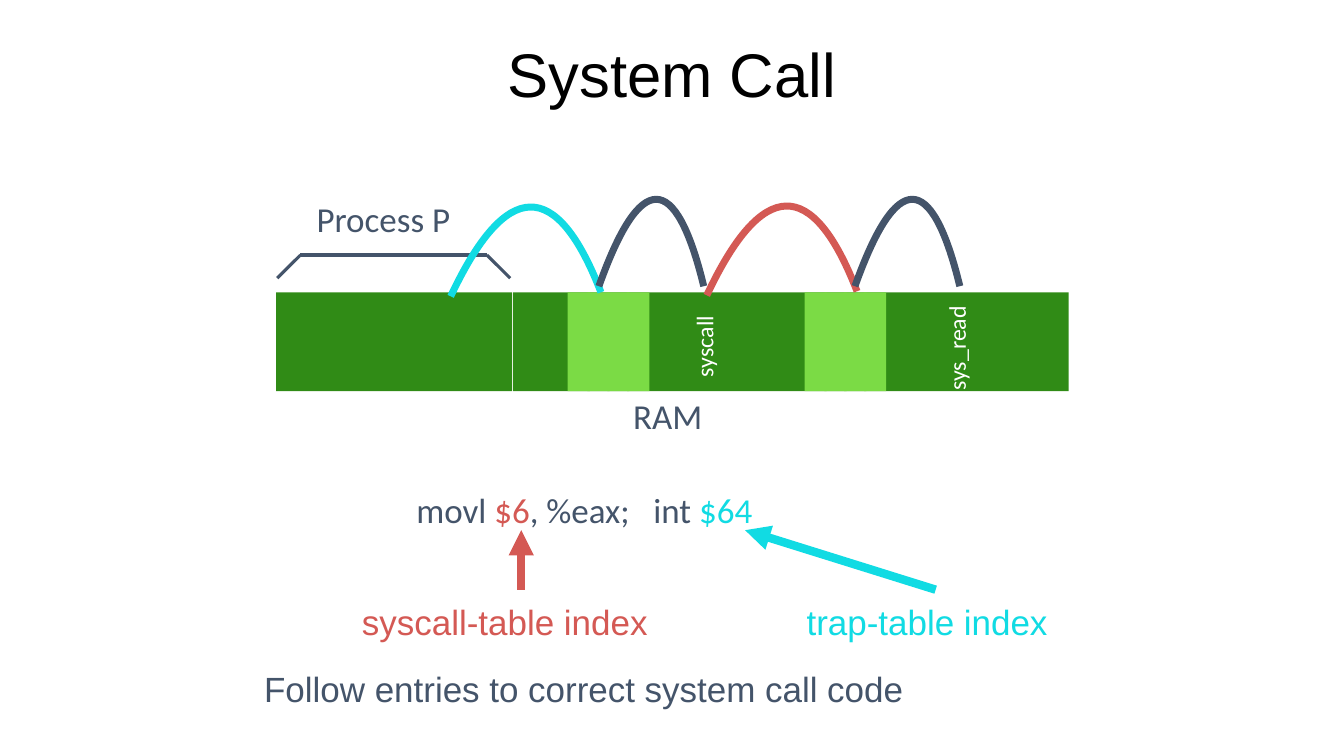
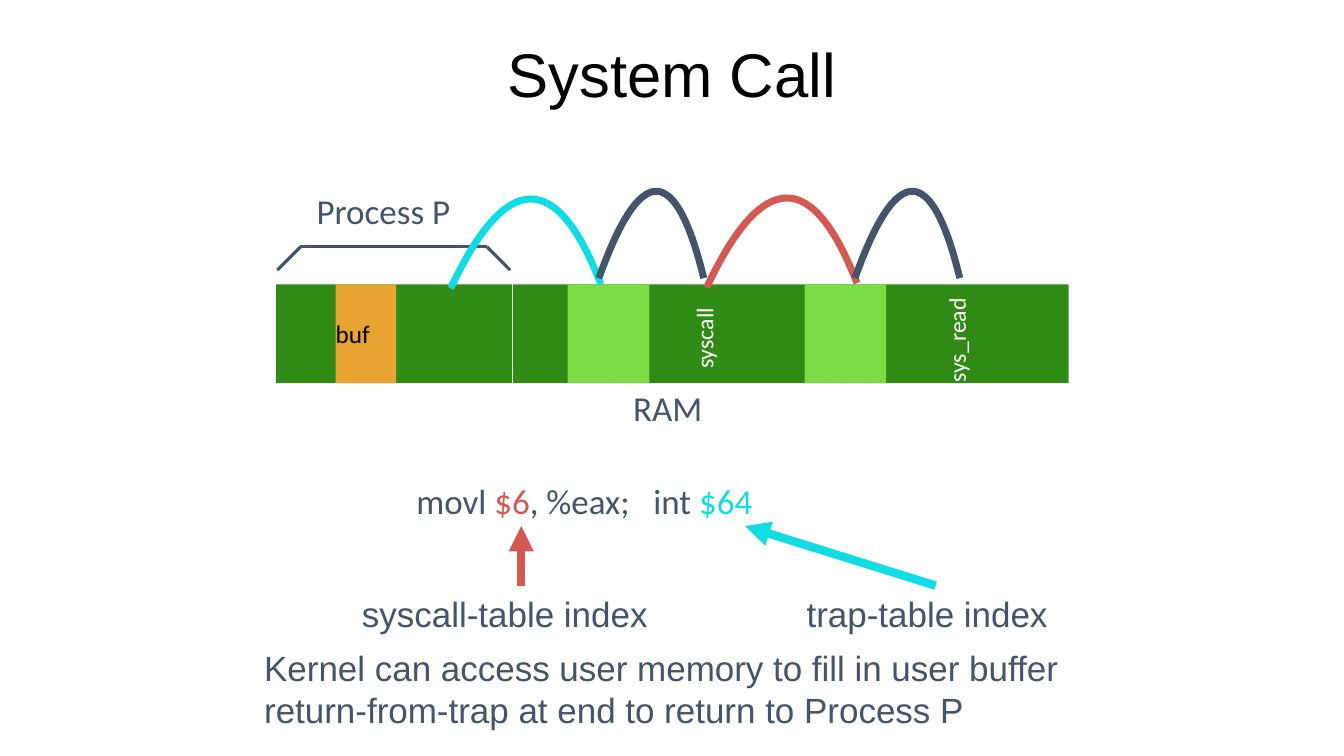
from lxml.etree import SubElement
from pptx import Presentation
from pptx.dml.color import RGBColor
from pptx.enum.shapes import MSO_CONNECTOR as CONNECTOR, MSO_SHAPE as SHAPE
from pptx.enum.text import MSO_ANCHOR as ANCHOR, PP_ALIGN as ALIGN
from pptx.oxml.ns import qn
from pptx.util import Inches, Pt

COLORS = {
    "slate": "44546A",
    "green": "308B16",
    "lime": "7BDB45",
    "orange": "E8A433",
    "cyan": "11DBE3",
    "red": "D45954",
    "white": "FFFFFF",
    "black": "000000",
}
RAM_TOP, RAM_HEIGHT = 2.9, 0.98
CELL_WIDTH, CELL_STEP, CELL_COUNT = 0.22, 0.59 / 3, 4
TABLE_LEFTS = [5.63, 7.98]

JUMPS = [
    ("cyan", 2.06, [(4.47, 2.94), (5.02, 1.77), (5.52, 1.76), (5.96, 2.9)]),
    ("slate", 1.98, [(5.94, 2.84), (6.35, 1.69), (6.7, 1.69), (6.98, 2.84)]),
    ("red", 2.05, [(7.01, 2.93), (7.56, 1.76), (8.06, 1.75), (8.5, 2.89)]),
    ("slate", 1.98, [(8.48, 2.84), (8.89, 1.69), (9.24, 1.69), (9.52, 2.84)]),
]
BRACKET = [(2.75, 2.76), (2.98, 2.53), (4.83, 2.53), (5.06, 2.76)]
ARROWS = [("cyan", (9.28, 5.85), (7.39, 5.26)), ("red", (5.17, 5.85), (5.17, 5.26))]
INSTRUCTION = [("movl ", "slate"), ("$6", "red"), (", %eax;   int ", "slate"), ("$64", "cyan")]

SLIDES = [
    {
        "lift": 0,
        "arrow_lift": 0,
        "buffer": False,
        "index_colors": ("red", "cyan"),
        "summary_box": (2.58, 6.58, 6.74, 0.5),
        "summary": ["Follow entries to correct system call code"],
    },
    {
        "lift": 0.08,
        "arrow_lift": 0.04,
        "buffer": True,
        "index_colors": ("slate", "slate"),
        "summary_box": (2.58, 6.37, 8.45, 0.92),
        "summary": [
            "Kernel can access user memory to fill in user buffer",
            "return-from-trap at end to return to Process P",
        ],
    },
]


def write(shape, paragraphs, size=25, font="Arial", margin=0.04, align=ALIGN.LEFT, spacing=None):
    frame = shape.text_frame
    frame_format = {"word_wrap": True, "vertical_anchor": ANCHOR.MIDDLE}
    for side in ("left", "top", "right", "bottom"):
        frame_format[f"margin_{side}"] = Inches(margin)
    for name, value in frame_format.items():
        setattr(frame, name, value)
    for number, runs in enumerate(paragraphs):
        paragraph = frame.add_paragraph() if number else frame.paragraphs[0]
        paragraph.alignment = align
        paragraph.line_spacing = spacing
        for text, color in runs:
            run = paragraph.add_run()
            run.text = text
            for name, value in {"size": Pt(size), "name": font}.items():
                setattr(run.font, name, value)
            run.font.color.rgb = RGBColor.from_string(COLORS[color])


def connect(slide, start, end, color, width, lift):
    x1, y1, x2, y2 = start[0], start[1] - lift, end[0], end[1] - lift
    line = slide.shapes.add_connector(CONNECTOR.STRAIGHT, *map(Inches, (x1, y1, x2, y2)))
    line.line.color.rgb = RGBColor.from_string(COLORS[color])
    line.line.width = Pt(width)
    SubElement(line._element.spPr, qn("a:effectLst"))
    return line


deck = Presentation()
deck.slide_width, deck.slide_height = Inches(13.33), Inches(7.5)

for content in SLIDES:
    slide = deck.slides.add_slide(deck.slide_layouts[6])
    lift = content["lift"]

    title = slide.shapes.add_textbox(*map(Inches, (2.52, 0.07, 8.29, 1.4)))
    write(title, [[("System Call", "black")]], 44, margin=0.05, align=ALIGN.CENTER, spacing=0.9)

    blocks = [(2.74, 2.34, "green", ""), (5.09, 5.51, "green", "")]
    for table_left in TABLE_LEFTS:
        for cell in range(CELL_COUNT):
            blocks.append((table_left + cell * CELL_STEP, CELL_WIDTH, "lime", ""))
    if content["buffer"]:
        blocks.append((3.33, 0.6, "orange", "buf"))
    for left, width, color, label in blocks:
        block = slide.shapes.add_shape(
            SHAPE.RECTANGLE, *map(Inches, (left, RAM_TOP - lift, width, RAM_HEIGHT)))
        block.shadow.inherit = False
        block.fill.solid()
        block.fill.fore_color.rgb = RGBColor.from_string(COLORS[color])
        block.line.fill.background()
        if label:
            write(block, [[(label, "black")]], 18, "Calibri", margin=0)

    for start, end in zip(BRACKET, BRACKET[1:]):
        connect(slide, start, end, "slate", 2.25, lift)

    syscall_color, trap_color = content["index_colors"]
    labels = [
        ((6.24, 3.87, 0.81, 0.5), [("RAM", "slate")], 25, "Calibri", 0),
        ((3.1, 1.92, 1.6, 0.5), [("Process P", "slate")], 25, "Calibri", 0),
        ((4.09, 4.8, 5.13, 0.5), INSTRUCTION, 25, "Calibri", 0),
        ((6.59, 3.21, 0.78, 0.36), [("syscall", "white")], 17, "Calibri", 270),
        ((8.96, 3.21, 1.05, 0.36), [("sys_read", "white")], 17, "Calibri", 270),
        ((7.96, 5.92, 2.66, 0.5), [("trap-table index", trap_color)], 25, "Arial", 0),
        ((3.55, 5.92, 3.02, 0.5), [("syscall-table index", syscall_color)], 25, "Arial", 0),
    ]
    for (left, top, width, height), runs, size, font, rotation in labels:
        label = slide.shapes.add_textbox(*map(Inches, (left, top - lift, width, height)))
        label.rotation = rotation
        write(label, [runs], size, font)

    for color, peak, curve in JUMPS:
        start, pull_out, pull_in, end = [(Inches(x), Inches(y - lift)) for x, y in curve]
        summit = (pull_out[0], Inches(peak - lift))
        builder = slide.shapes.build_freeform(*start)
        builder.add_line_segments([summit, end], close=False)
        jump = builder.convert_to_shape()
        outline = next(jump._element.iter(qn("a:path")))
        for segment in outline.findall(qn("a:lnTo")):
            outline.remove(segment)
        arc = SubElement(outline, qn("a:cubicBezTo"))
        for x, y in (pull_out, pull_in, end):
            SubElement(arc, qn("a:pt"), x=str(x - start[0]), y=str(y - summit[1]))
        jump.shadow.inherit = False
        jump.fill.background()
        jump.line.color.rgb = RGBColor.from_string(COLORS[color])
        jump.line.width = Pt(5)

    summary = slide.shapes.add_textbox(*map(Inches, content["summary_box"]))
    write(summary, [[(sentence, "slate")] for sentence in content["summary"]])

    for color, start, end in ARROWS:
        arrow = connect(slide, start, end, color, 6, content["arrow_lift"])
        SubElement(arrow.line._get_or_add_ln(), qn("a:tailEnd"), type="triangle")

deck.save("out.pptx")
